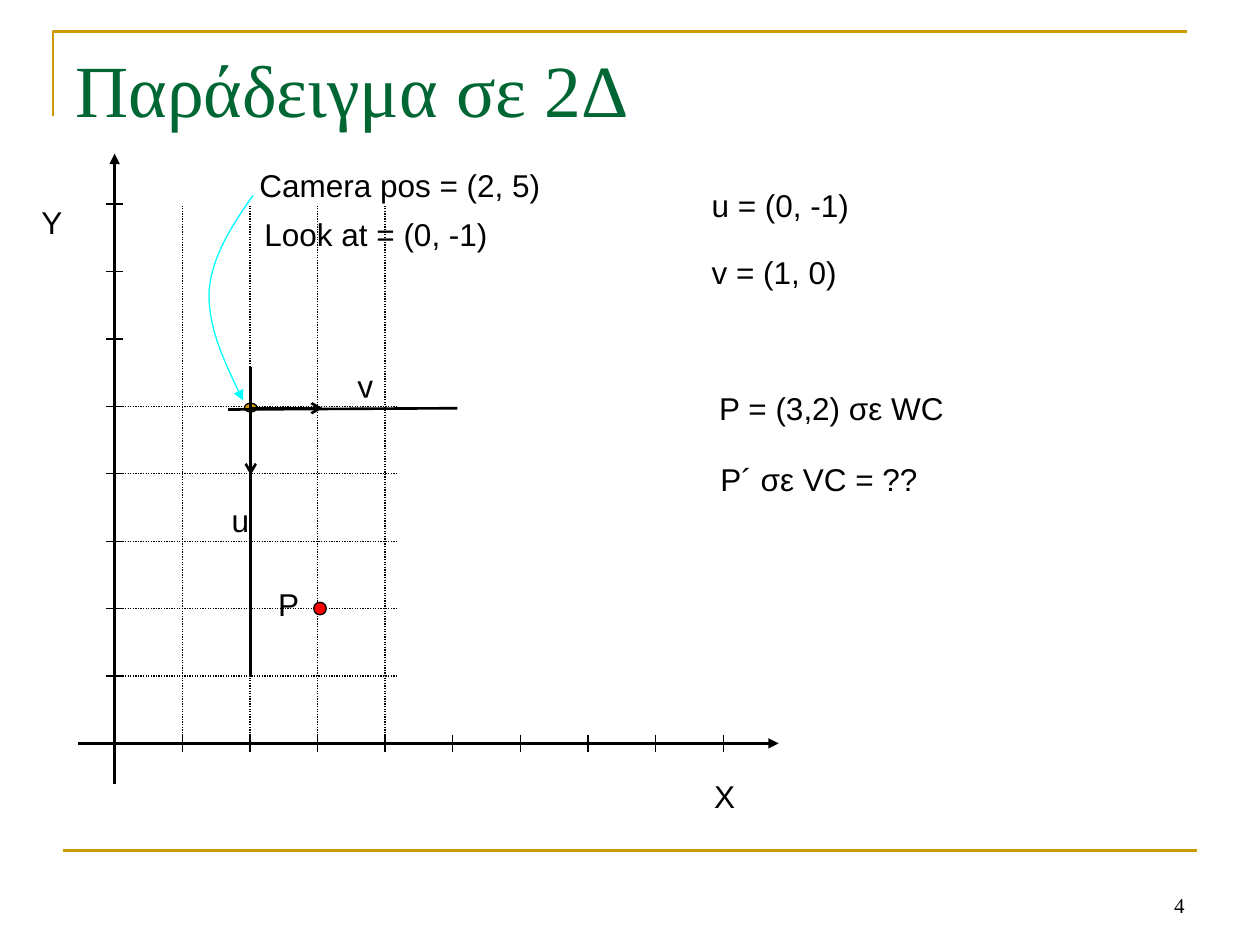
from typing import NamedTuple

import pptx
import pptx.util
import pptx.dml.color
import pptx.enum.dml
import pptx.enum.shapes
import pptx.enum.text
import pptx.oxml
import pptx.oxml.ns
from pptx.util import Inches

COLORS = {
    "ink": "000000",
    "title": "006633",
    "gold": "CC9900",
    "pointer": "00FFFF",
    "point": "FF0000",
}
DOTTED = pptx.enum.dml.MSO_LINE_DASH_STYLE.ROUND_DOT
ORIGIN_X, ORIGIN_Y = 0.91, 5.9
COLUMNS, ROWS = 9, 8
STEP_X = (5.74 - ORIGIN_X) / COLUMNS
STEP_Y = (ORIGIN_Y - 1.62) / ROWS
TICK = 0.07


class Label(NamedTuple):
    text: str
    left: float
    top: float
    width: float
    wrap: bool = False
    rotation: float = 0


class Stroke(NamedTuple):
    start: tuple[float, float]
    end: tuple[float, float]
    width: float = 0.75
    color: str = "ink"
    dash: object = None
    arrow: str = ""


class Dot(NamedTuple):
    left: float
    top: float
    width: float
    height: float
    color: str


LABELS = [
    Label("Χ", 5.57, 6.12, 0.37),
    Label("Υ", 0.23, 1.56, 0.37),
    Label("Camera pos = (2, 5)", 1.96, 1.27, 2.45),
    Label("Look at = (0, -1)", 2, 1.66, 1.99),
    Label("P", 2.11, 4.59, 0.37),
    Label("P = (3,2) σε WC", 5.61, 3.04, 1.99),
    Label("u = (0, -1)", 5.55, 1.43, 1.3),
    Label("v = (1, 0)", 5.55, 1.96, 1.2),
    Label("P´ σε VC = ??", 5.62, 3.6, 1.77),
    Label("u", 1.74, 3.93, 0.31, wrap=True),
    Label("v", 2.74, 2.86, 0.31, wrap=True, rotation=357.4),
]
AXES = [
    Stroke((ORIGIN_X, 6.22), (ORIGIN_X, 1.22), 1.5, arrow="triangle"),
    Stroke((0.62, ORIGIN_Y), (6.18, ORIGIN_Y), 1.5, arrow="triangle"),
]
CAMERA_AXES = [
    Stroke((1.99, 3.24), (1.99, 3.77), 1.5, arrow="arrow"),
    Stroke((1.99, 3.24), (2.56, 3.24), 1.5, arrow="arrow"),
    Stroke((1.99, 2.91), (1.99, 5.37), 1.5),
    Stroke((1.81, 3.25), (3.63, 3.24), 1.5),
]
DOTS = [Dot(1.94, 3.2, 0.1, 0.07, "gold"), Dot(2.49, 4.78, 0.1, 0.1, "point")]
FRAME = [(0.42, 0.92), (0.42, 0.25), (9.42, 0.25)]
POINTER = [(2.01, 1.55), (1.84, 1.79), (1.68, 2.04), (1.66, 2.31),
           (1.65, 2.59), (1.79, 2.89), (1.93, 3.18)]


def color(name: str) -> pptx.dml.color.RGBColor:
    return pptx.dml.color.RGBColor.from_string(COLORS[name])


def format_line(line, width: float, name: str, arrow: str = "") -> None:
    line.width = pptx.util.Pt(width)
    line.color.rgb = color(name)
    if arrow:
        head = pptx.oxml.parse_xml(
            f'<a:tailEnd {pptx.oxml.ns.nsdecls("a")} type="{arrow}"/>')
        line._get_or_add_ln().append(head)


def draw_stroke(page, stroke: Stroke) -> None:
    points = [Inches(value) for value in (*stroke.start, *stroke.end)]
    connector = page.shapes.add_connector(
        pptx.enum.shapes.MSO_CONNECTOR.STRAIGHT, *points)
    if stroke.dash:
        connector.line.dash_style = stroke.dash
    format_line(connector.line, stroke.width, stroke.color, stroke.arrow)
    connector._element.spPr.append(
        pptx.oxml.parse_xml(f'<a:effectLst {pptx.oxml.ns.nsdecls("a")}/>'))


def draw_outline(page, points: list[tuple[float, float]]):
    """Draw an open, unfilled outline through the points."""
    start, *rest = [(Inches(x), Inches(y)) for x, y in points]
    builder = page.shapes.build_freeform(*start)
    builder.add_line_segments(rest, close=False)
    shape = builder.convert_to_shape()
    shape.shadow.inherit = False
    shape.fill.background()
    return shape


def bend_outline(shape) -> None:
    """Turn every three straight segments into one cubic curve."""
    name = pptx.oxml.ns.qn
    segments = list(shape._element.iter(name("a:lnTo")))
    for index in range(0, len(segments), 3):
        curve, *others = segments[index:index + 3]
        for segment in others:
            segment.getparent().remove(segment)
            curve.append(segment[0])
        curve.tag = name("a:cubicBezTo")


def draw_dot(page, dot: Dot) -> None:
    shape = page.shapes.add_shape(
        pptx.enum.shapes.MSO_SHAPE.OVAL, Inches(dot.left), Inches(dot.top),
        Inches(dot.width), Inches(dot.height))
    shape.shadow.inherit = False
    shape.fill.solid()
    shape.fill.fore_color.rgb = color(dot.color)
    format_line(shape.line, 0.75, "ink")


def write(frame, text: str, *, size: float = 18, font: str = "Arial",
          name: str = "ink", align=pptx.enum.text.PP_ALIGN.LEFT,
          anchor=pptx.enum.text.MSO_ANCHOR.TOP, wrap: bool = True,
          fit=pptx.enum.text.MSO_AUTO_SIZE.NONE) -> None:
    frame.word_wrap = wrap
    frame.auto_size = fit
    frame.vertical_anchor = anchor
    para = frame.paragraphs[0]
    para.alignment = align
    span = para.add_run()
    span.text = text
    span.font.size = pptx.util.Pt(size)
    span.font.name = font
    span.font.color.rgb = color(name)


def draw_label(page, label: Label) -> None:
    box = page.shapes.add_textbox(Inches(label.left), Inches(label.top),
                                  Inches(label.width), Inches(0.4))
    box.rotation = label.rotation
    write(box.text_frame, label.text, wrap=label.wrap,
          fit=pptx.enum.text.MSO_AUTO_SIZE.SHAPE_TO_FIT_TEXT)


def grid_strokes() -> list[Stroke]:
    """Ticks along both axes and the dotted lines of the first cells."""
    columns = [ORIGIN_X + STEP_X * i for i in range(1, COLUMNS + 1)]
    rows = [ORIGIN_Y - STEP_Y * i for i in range(ROWS + 1)]
    return (
        [Stroke((x, ORIGIN_Y - TICK), (x, ORIGIN_Y + TICK)) for x in columns]
        + [Stroke((ORIGIN_X - TICK, y), (ORIGIN_X + TICK, y)) for y in rows]
        + [Stroke((x, ORIGIN_Y), (x, 1.63), dash=DOTTED) for x in columns[:4]]
        + [Stroke((ORIGIN_X, y), (3.15, y), dash=DOTTED) for y in rows[1:6]]
    )


def main() -> None:
    deck = pptx.Presentation()
    deck.slide_width, deck.slide_height = Inches(10), Inches(7.5)
    page = deck.slides.add_slide(deck.slide_layouts.get_by_name("Title Only"))

    format_line(draw_outline(page, FRAME).line, 1.5, "gold")
    draw_stroke(page, Stroke((0.5, 6.75), (9.5, 6.75), 1.5, "gold"))
    number = page.shapes.add_textbox(Inches(7.17), Inches(6.83),
                                     Inches(2.33), Inches(0.5))
    write(number.text_frame, "4", size=12, font="Times New Roman",
          align=pptx.enum.text.PP_ALIGN.RIGHT,
          anchor=pptx.enum.text.MSO_ANCHOR.BOTTOM)
    title = page.shapes.title
    title.left, title.top = Inches(0.5), Inches(0.3)
    title.width, title.height = Inches(9), Inches(1.25)
    write(title.text_frame, "Παράδειγμα σε 2Δ", size=42,
          font="Times New Roman", name="title")

    for stroke in AXES + grid_strokes():
        draw_stroke(page, stroke)
    for dot in DOTS:
        draw_dot(page, dot)
    pointer = draw_outline(page, POINTER)
    bend_outline(pointer)
    format_line(pointer.line, 0.75, "pointer", "triangle")
    for stroke in CAMERA_AXES:
        draw_stroke(page, stroke)
    for label in LABELS:
        draw_label(page, label)
    deck.save("out.pptx")


if __name__ == "__main__":
    main()
